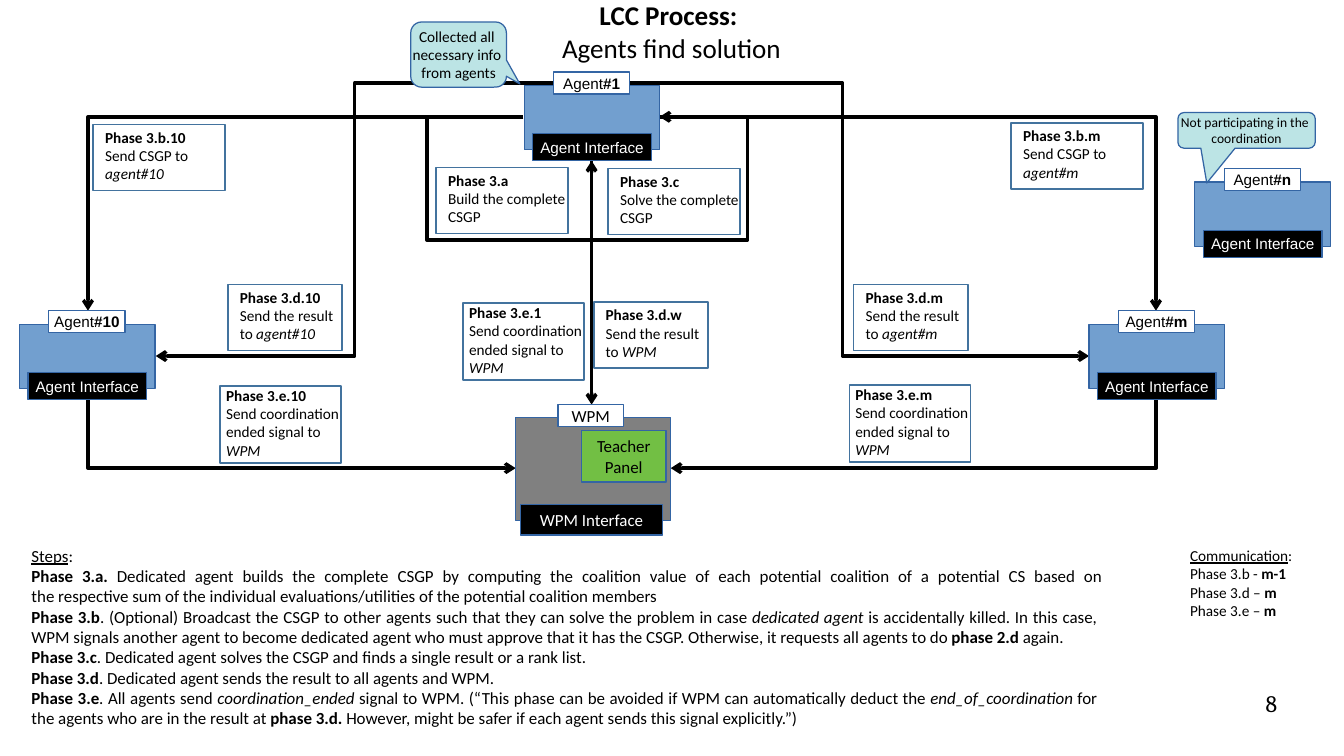
from lxml import etree
from pptx import Presentation
from pptx.dml.color import RGBColor
from pptx.enum.shapes import MSO_CONNECTOR, MSO_SHAPE
from pptx.enum.text import MSO_ANCHOR, PP_ALIGN
from pptx.oxml.ns import qn
from pptx.util import Pt

RECT, BUBBLE = MSO_SHAPE.RECTANGLE, MSO_SHAPE.ROUNDED_RECTANGULAR_CALLOUT
LEFT, MID, RIGHT, FULL = PP_ALIGN.LEFT, PP_ALIGN.CENTER, PP_ALIGN.RIGHT, PP_ALIGN.JUSTIFY
TOP, CORE = MSO_ANCHOR.TOP, MSO_ANCHOR.MIDDLE
BLACK, WHITE = RGBColor(0, 0, 0), RGBColor(255, 255, 255)
BLUE, EDGE = RGBColor(0x72, 0x9F, 0xCF), RGBColor(0x34, 0x65, 0xA4)
FRAME, AQUA = RGBColor(0x43, 0x73, 0x9E), RGBColor(0xBC, 0xE4, 0xE5)
GREY, GREEN = RGBColor(0x80, 0x80, 0x80), RGBColor(0x72, 0xBF, 0x44)

deck = Presentation()
deck.slide_width, deck.slide_height = Pt(793.5), Pt(446.5)
slide = deck.slides.add_slide(deck.slide_layouts[6])
shapes = slide.shapes


def write(shape, paras, size, face="Calibri", color=BLACK, align=MID,
          anchor=CORE, pad=(0, 0), wrap=False):
    """Fill a shape with paragraphs of (text, marks) runs; marks are b, i, u."""
    frame = shape.text_frame
    frame.word_wrap, frame.vertical_anchor = wrap, anchor
    frame.margin_left = frame.margin_right = Pt(pad[0])
    frame.margin_top = frame.margin_bottom = Pt(pad[1])
    for n, runs in enumerate(paras):
        para = frame.add_paragraph() if n else frame.paragraphs[0]
        para.alignment = align
        para.font.size, para.font.name = Pt(size), face
        para.font.color.rgb = color
        for text, marks in runs:
            for k, part in enumerate(text.split("\n")):
                if k:
                    para.add_line_break()
                if part:
                    run = para.add_run()
                    run.text = part
                    if "b" in marks:
                        run.font.bold = True
                    if "i" in marks:
                        run.font.italic = True
                    if "u" in marks:
                        run.font.underline = True


def block(box, fill=None, line=EDGE, width=0, kind=RECT):
    """Add a flat shape with the given fill and outline."""
    shape = shapes.add_shape(kind, *map(Pt, box))
    shape.shadow.inherit = False
    if fill is None:
        shape.fill.background()
    else:
        shape.fill.solid()
        shape.fill.fore_color.rgb = fill
    shape.line.color.rgb, shape.line.width = line, Pt(width)
    return shape


# Arrows: preset, start, end, adjustments in thousandths of a percent, arrow end
down, side, loop = "bentConnector2", "bentConnector3", "bentConnector4"
routes = [
    (down, (309, 69), (52, 183.5), (), "tailEnd"),
    (down, (389.5, 69), (682.5, 183.5), (), "tailEnd"),
    (side, (371.5, 49), (643, 210.3), (46400,), "tailEnd"),
    (side, (327, 49), (92, 210.3), (50000,), "tailEnd"),
    (loop, (389.5, 69), (349.3, 95), (-129000, 280000), "headEnd"),
    (loop, (309, 69), (349.3, 95), (-141000, 280000), "tailEnd"),
    ("line", (349.3, 95), (349.3, 239), (), "tailEnd"),
    (down, (304.5, 276.5), (52, 236), (), "headEnd"),
    (down, (396, 276.5), (682.5, 236), (), "headEnd"),
]
for preset, start, end, bends, tip in routes:
    arrow = shapes.add_connector(MSO_CONNECTOR.ELBOW, *map(Pt, start + end))
    arrow.line.color.rgb, arrow.line.width = BLACK, Pt(0)
    props = arrow._element.spPr
    geom = props.find(qn("a:prstGeom"))
    geom.set("prst", preset)
    guides = geom.find(qn("a:avLst"))
    for n, bend in enumerate(bends, 1):
        etree.SubElement(guides, qn("a:gd"), name=f"adj{n}", fmla=f"val {bend}")
    etree.SubElement(props.find(qn("a:ln")), qn("a:" + tip), type="arrow")
    etree.SubElement(props, qn("a:effectLst"))

# Agents
for name, x, y in [("#1", 309.5, 50.5), ("#10", 11.5, 191.5),
                   ("#m", 643, 191.5), ("#n", 705.5, 107.5)]:
    block((x, y, 80, 38), BLUE)
    tag = block((x + 17.3, y - 8, 45, 13), WHITE)
    write(tag, [[("Agent", ""), (name, "b")]], 9, "Arial")
    base = block((x + 5, y + 28.5, 70, 16), BLACK)
    write(base, [[("Agent Interface", "")]], 9, "Arial", WHITE)

# WPM
block((304.5, 246.5, 91.5, 61), GREY)
for text, box, fill, color in [
        ("WPM", (329.5, 239, 38.5, 13), WHITE, BLACK),
        ("Teacher\nPanel", (343.3, 254.3, 50, 30.5), GREEN, BLACK),
        ("WPM Interface", (307.5, 298, 83.5, 18), BLACK, WHITE)]:
    write(block(box, fill), [[(text, "")]], 10, color=color)

# Callouts
for text, size, box, tip in [
        ("Collected all \nnecessary info \nfrom agents", 9, (242.5, 13, 56.5, 38.5), (0.64, 0.45)),
        ("Not participating in the \ncoordination", 8, (695.5, 66.5, 81, 21), (-0.29, 1.48))]:
    bubble = block(box, AQUA, kind=BUBBLE)
    bubble.adjustments[0], bubble.adjustments[1] = tip
    write(bubble, [[(text, "")]], size)

# Phase notes: id, text, italic end, left, top
sizes = {"a": (78, 39), "b": (78, 39), "c": (78, 39), "d": (67.5, 39), "e": (71.5, 45.5)}
send, result = "Send CSGP to \n", "Send the result \nto "
ended = "Send coordination \nended signal to \n"
for mark, text, last, x, y in [
        ("b.10", send, "agent#10", 55, 73.5), ("b.m", send, "agent#m", 597, 72.5),
        ("a", "Build the complete \nCSGP", "", 257.5, 99),
        ("c", "Solve the complete \nCSGP", "", 359, 99.5),
        ("d.10", result, "agent#10", 134.5, 168), ("d.m", result, "agent#m", 504, 168),
        ("d.w", result, "WPM", 350.5, 178.5), ("e.1", ended, "WPM", 273.5, 179),
        ("e.10", ended, "WPM", 130, 228), ("e.m", ended, "WPM", 501.5, 227.5)]:
    note = block((x, y, *sizes[mark[0]]), line=FRAME, width=1)
    pad = (3.5, 0) if mark[0] == "e" else (7.2, 2)
    write(note, [[(f"Phase 3.{mark}\n", "b"), (text, ""), (last, "i")]], 9,
          align=LEFT, anchor=TOP, pad=pad)

# Plain texts
title = [[("LCC Process: \n", "b"), ("Agents find solution", "")]]
steps = [
    [("Steps", "u"), (":", "")],
    [("Phase 3.a.", "b"),
     (" Dedicated agent builds the complete CSGP by computing the coalition value of each "
      "potential coalition of a potential CS based on\nthe respective sum of the individual "
      "evaluations/utilities of the potential coalition members", "")],
    [("Phase 3.b", "b"),
     (". (Optional) Broadcast the CSGP to other agents such that they can solve the problem "
      "in case ", ""), ("dedicated agent", "i"),
     (" is accidentally killed. In this case, \nWPM signals another agent to become dedicated "
      "agent who must approve that it has the CSGP. Otherwise, it requests all agents to do ", ""),
     ("phase 2.d ", "b"), ("again. ", "")],
    [("Phase 3.c", "b"),
     (". Dedicated agent solves the CSGP and finds a single result or a rank list.", "")],
    [("Phase 3.d", "b"), (". Dedicated agent sends the result to all agents and WPM. ", "")],
    [("Phase 3.e", "b"), (". All agents send ", ""), ("coordination_ended", "i"),
     (" signal to WPM. (“This phase can be avoided if WPM can automatically deduct the ", ""),
     ("end_of_coordination", "i"), (" for \nthe agents who are in the result at ", ""),
     ("phase 3.d. ", "b"),
     ("However, might be safer if each agent sends this signal explicitly.”)", "")],
]
costs = [[("Communication", "u"), (":", "")], [("Phase 3.b - ", ""), ("m-1", "b")],
         [("Phase 3.d –", ""), (" m", "b")], [("Phase 3.e – ", ""), ("m", "b")]]
for paras, box, size, face, align, anchor, pad in [
        (title, (39.5, 2, 714, 33), 16, "Calibri", MID, CORE, (0, 0)),
        (steps, (11.5, 318.5, 646, 118), 10, "Calibri", FULL, TOP, (7.2, 3.6)),
        (costs, (695.5, 319, 76, 52), 9, "Calibri", LEFT, TOP, (7.2, 3.6)),
        ([[("8", "")]], (569, 407, 185, 31), 14, "Cambria", RIGHT, TOP, (0, 0))]:
    area = shapes.add_textbox(*map(Pt, box))
    write(area, paras, size, face, align=align, anchor=anchor, pad=pad, wrap=paras is not costs)

deck.save("out.pptx")
